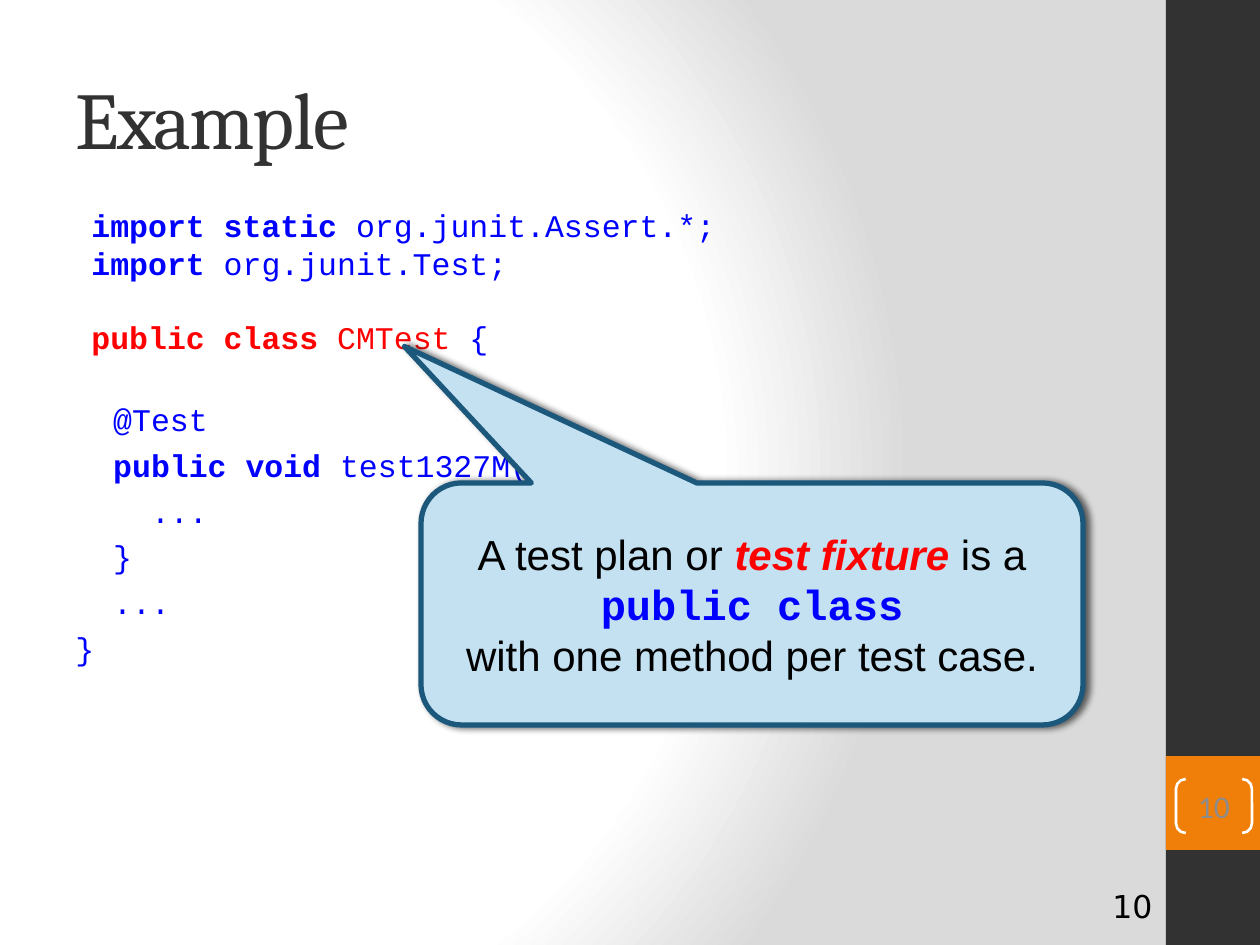
from dataclasses import dataclass
from typing import Optional

from lxml import etree
from pptx import Presentation
from pptx.dml.color import RGBColor
from pptx.enum.shapes import MSO_SHAPE
from pptx.enum.text import MSO_ANCHOR, PP_ALIGN
from pptx.oxml import parse_xml
from pptx.util import Emu, Pt

RECTANGLE = MSO_SHAPE.RECTANGLE
BRACKETS = MSO_SHAPE.DOUBLE_BRACKET
CALLOUT = MSO_SHAPE.ROUNDED_RECTANGULAR_CALLOUT
TOP, MIDDLE = MSO_ANCHOR.TOP, MSO_ANCHOR.MIDDLE
LEFT, CENTER = PP_ALIGN.LEFT, PP_ALIGN.CENTER

BLACK = RGBColor(0x00, 0x00, 0x00)
WHITE = RGBColor(0xFF, 0xFF, 0xFF)
CHARCOAL = RGBColor(0x32, 0x32, 0x32)
ORANGE = RGBColor(0xF0, 0x7F, 0x09)
GRAY = RGBColor(0x8C, 0x8C, 0x8C)
BLUE = RGBColor(0x00, 0x00, 0xFF)
RED = RGBColor(0xFF, 0x00, 0x00)
PALE_BLUE = RGBColor(0xC4, 0xE1, 0xF2)
DEEP_BLUE = RGBColor(0x1B, 0x58, 0x7C)

EMU_PER_PX = 914400 / 126
DRAWING = "http://schemas.openxmlformats.org/drawingml/2006/main"
BACKGROUND = f"""<a:gradFill xmlns:a="{DRAWING}" rotWithShape="1"><a:gsLst>
<a:gs pos="0"><a:srgbClr val="FFFFFF"/></a:gs>
<a:gs pos="75000"><a:srgbClr val="FFFFFF"/></a:gs>
<a:gs pos="100000"><a:srgbClr val="DADADA"/></a:gs></a:gsLst>
<a:path path="circle"><a:fillToRect l="20000" t="50000" r="100000" b="50000"/></a:path>
</a:gradFill>"""


@dataclass
class Run:
    text: str
    color: RGBColor
    size: int = 18
    name: str = "Courier New"
    bold: bool = False
    italic: bool = False
    tracking: int = 0


@dataclass
class Line:
    runs: list[Run]
    before: float = 0
    spacing: float = 1.0
    margin: int = 0
    indent: int = 0


@dataclass
class Box:
    left: int
    top: int
    width: int
    height: int


@dataclass
class Look:
    fill: Optional[RGBColor] = None
    line: Optional[RGBColor] = None
    line_width: float = 0
    adjustments: tuple[float, ...] = ()


def px(length: float) -> Emu:
    return Emu(round(length * EMU_PER_PX))


def place(box: Box) -> list[Emu]:
    return [px(length) for length in (box.left, box.top, box.width, box.height)]


def write(shape, lines: list[Line], align=LEFT, anchor=TOP, wrap=True, **margins: int) -> None:
    frame = shape.text_frame
    frame_format = {"word_wrap": wrap, "vertical_anchor": anchor}
    frame_format.update({f"margin_{side}": px(length) for side, length in margins.items()})
    for attribute, value in frame_format.items():
        setattr(frame, attribute, value)
    for index, line in enumerate(lines):
        paragraph = frame.add_paragraph() if index else frame.paragraphs[0]
        paragraph_format = {
            "alignment": align,
            "line_spacing": line.spacing,
            "space_before": Pt(line.before),
        }
        for attribute, value in paragraph_format.items():
            setattr(paragraph, attribute, value)
        properties = paragraph._p.get_or_add_pPr()
        properties.set("marL", str(px(line.margin)))
        properties.set("indent", str(px(line.indent)))
        for item in line.runs:
            run = paragraph.add_run()
            run.text = item.text
            font_format = {
                "size": Pt(item.size),
                "name": item.name,
                "bold": item.bold,
                "italic": item.italic,
            }
            for attribute, value in font_format.items():
                setattr(run.font, attribute, value)
            run.font.color.rgb = item.color
            if item.tracking:
                run._r.get_or_add_rPr().set("spc", str(item.tracking))


def add_text(slide, box: Box, lines: list[Line], **layout) -> None:
    write(slide.shapes.add_textbox(*place(box)), lines, **layout)


def add_shape(slide, kind, box: Box, look: Look):
    shape = slide.shapes.add_shape(kind, *place(box))
    shape.shadow.inherit = False
    for index, value in enumerate(look.adjustments):
        shape.adjustments[index] = value
    if look.fill is None:
        shape.fill.background()
    else:
        shape.fill.solid()
        shape.fill.fore_color.rgb = look.fill
    if look.line is None:
        shape.line.fill.background()
    else:
        shape.line.color.rgb = look.line
        shape.line.width = Pt(look.line_width)
    return shape


def add_shadow(shape, blur: int, distance: int, alpha: int) -> None:
    effects = shape._element.spPr.find(f"{{{DRAWING}}}effectLst")
    shadow = etree.SubElement(
        effects, f"{{{DRAWING}}}outerShdw",
        blurRad=str(Pt(blur)), dist=str(Pt(distance)), dir="0", rotWithShape="0",
    )
    color = etree.SubElement(shadow, f"{{{DRAWING}}}srgbClr", val="000000")
    etree.SubElement(color, f"{{{DRAWING}}}alpha", val=str(alpha * 1000))


def header_line(*runs: Run, before: float = 4.5) -> Line:
    return Line(list(runs), before, 0.8, 48, -32)


def body_line(*runs: Run, before: float = 4.5) -> Line:
    return Line(list(runs), before)


def code(text: str, color: RGBColor = BLUE, bold: bool = False) -> Run:
    return Run(text, color, bold=bold)


def speech(text: str, color: RGBColor = BLACK, name: str = "Arial", strong: bool = False,
           italic: bool = False) -> Run:
    return Run(text, color, 24, name, strong, italic)


CODE_LINES = [
    header_line(code("import static ", bold=True), code("org.junit.Assert.*;"), before=0),
    header_line(code("import ", bold=True), code("org.junit.Test;")),
    header_line(code("public class ", RED, True), code("CMTest", RED), code(" {"), before=25.3),
    body_line(code("  @Test"), before=25.3),
    body_line(code("  "), code("public void ", bold=True), code("test1327M() {")),
    *[body_line(code(text)) for text in ("    ...", "  }", "  ...", "}")],
]
CALLOUT_LINES = [
    Line([
        speech("A test plan or "),
        speech("test fixture ", RED, strong=True, italic=True),
        speech("is a"),
    ]),
    Line([speech("public class", BLUE, "Courier New", True)]),
    Line([speech("with one method per test case.")]),
]


def main() -> None:
    presentation = Presentation()
    presentation.slide_width, presentation.slide_height = px(1260), px(945)
    slide = presentation.slides.add_slide(presentation.slide_layouts[6])
    background = slide.element.cSld.get_or_add_bgPr()
    background.replace(background[0], parse_xml(BACKGROUND))

    add_shape(slide, RECTANGLE, Box(1166, 0, 94, 945), Look(CHARCOAL))
    add_shape(slide, RECTANGLE, Box(1166, 756, 94, 94), Look(ORANGE))
    add_text(slide, Box(1100, 881, 81, 50), [Line([Run("10", BLACK, name="DejaVu Sans")])],
             wrap=False)
    add_text(slide, Box(63, 38, 1050, 158),
             [Line([Run("Example", CHARCOAL, 46, "Cambria", tracking=-100)])], anchor=MIDDLE)
    add_text(slide, Box(63, 199, 1166, 703), CODE_LINES, top=14)

    page_badge = add_shape(slide, BRACKETS, Box(1176, 779, 76, 54),
                           Look(line=WHITE, line_width=1.5, adjustments=(0.18,)))
    write(page_badge, [Line([Run("10", GRAY, name="Calibri")])], CENTER, MIDDLE,
          left=0, top=0, right=0, bottom=0)

    callout = add_shape(slide, CALLOUT, Box(421, 483, 662, 242),
                        Look(PALE_BLUE, DEEP_BLUE, 3, (-0.525, -1.064, 0.167)))
    add_shadow(callout, blur=4, distance=2, alpha=60)
    write(callout, CALLOUT_LINES, CENTER, MIDDLE)
    presentation.save("out.pptx")


if __name__ == "__main__":
    main()
